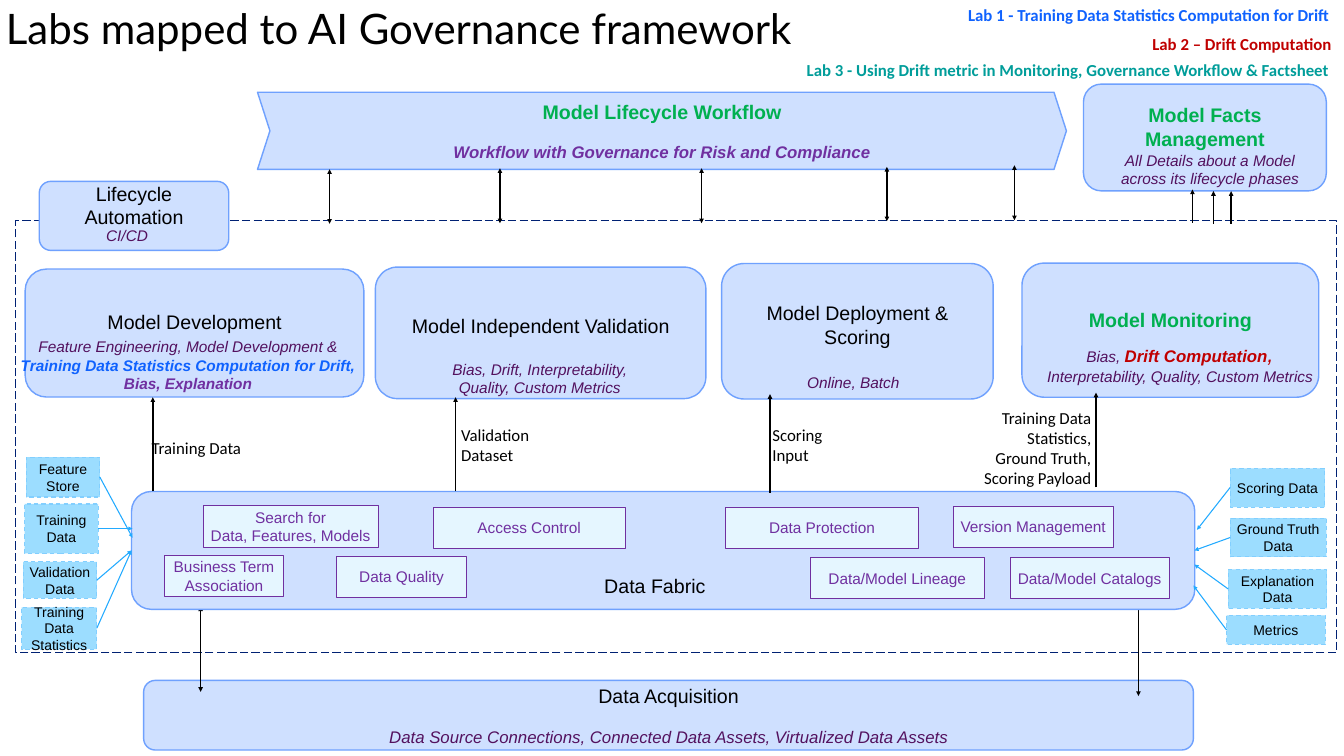
from lxml import etree
from pptx import Presentation
from pptx.dml.color import RGBColor
from pptx.enum.dml import MSO_LINE
from pptx.enum.shapes import MSO_CONNECTOR, MSO_SHAPE
from pptx.enum.text import MSO_ANCHOR, PP_ALIGN
from pptx.oxml.ns import qn
from pptx.util import Cm, Pt

RECT, ROUND, CHEVRON = MSO_SHAPE.RECTANGLE, MSO_SHAPE.ROUNDED_RECTANGLE, MSO_SHAPE.CHEVRON
STRAIGHT = MSO_CONNECTOR.STRAIGHT
TOP, MIDDLE = MSO_ANCHOR.TOP, MSO_ANCHOR.MIDDLE
LEFT, CENTER, RIGHT = PP_ALIGN.LEFT, PP_ALIGN.CENTER, PP_ALIGN.RIGHT
DASH, LONG_DASH = MSO_LINE.DASH, MSO_LINE.LONG_DASH
UNIT = 2.54
BLACK, GREEN, PURPLE, PLUM = "000000", "00B050", "7030A0", "53115E"
BLUE, RED, TEAL, SKY = "0F62FE", "C00000", "009D9A", "22AAFF"


def rgb(value):
    return RGBColor.from_string(value)


def cm(value):
    return Cm(round(value * UNIT, 2))


def fmt(size, color=BLACK, name="Arial", bold=False, italic=False):
    return {"size": Pt(size), "color": color, "name": name, "bold": bold, "italic": italic}


HEAD, HEAD_GREEN = fmt(28), fmt(28, GREEN, bold=True)
NOTE, LABEL = fmt(22, PLUM, italic=True), fmt(24, name="Calibri")
SOURCE, SERVICE = fmt(20), fmt(22, PURPLE)


def write(sp, paras, align=CENTER, anchor=MIDDLE, inset=(0.1, 0.05), shift=0, gap=0):
    tf = sp.text_frame
    settings = {"word_wrap": True, "vertical_anchor": anchor,
                "margin_left": cm(inset[0]), "margin_right": cm(inset[0]),
                "margin_top": cm(inset[1] + max(0, 2 * shift)),
                "margin_bottom": cm(inset[1] + max(0, -2 * shift))}
    for key, value in settings.items():
        setattr(tf, key, value)
    for i, runs in enumerate(paras):
        p = tf.paragraphs[0] if i == 0 else tf.add_paragraph()
        p.alignment = align
        if i:
            p.space_before = Pt(gap)
        for text, style in runs:
            r = p.add_run()
            r.text = text
            for key, value in style.items():
                if key == "color":
                    r.font.color.rgb = rgb(value)
                else:
                    setattr(r.font, key, value)


def add_box(s, box, kind=ROUND, fill="CFE0FF", line="6FA1FE", width=2, dash=None):
    sp = s.shapes.add_shape(kind, *map(cm, box))
    sp.shadow.inherit = False
    if fill:
        sp.fill.solid()
        sp.fill.fore_color.rgb = rgb(fill)
    else:
        sp.fill.background()
    sp.line.color.rgb = rgb(line)
    sp.line.width = Pt(width)
    if dash:
        sp.line.dash_style = dash
    return sp


def add_text(s, box, paras, **layout):
    write(s.shapes.add_textbox(*map(cm, box)), paras, **layout)


def add_arrow(s, start, end, color=BLACK, width=2.25, both=False):
    c = s.shapes.add_connector(STRAIGHT, *map(cm, (*start, *end)))
    c.line.color.rgb = rgb(color)
    c.line.width = Pt(width)
    spPr = c._element.spPr
    ln = spPr.find(qn("a:ln"))
    for tag in ("a:headEnd", "a:tailEnd") if both else ("a:tailEnd",):
        etree.SubElement(ln, qn(tag), type="triangle")
    etree.SubElement(spPr, qn("a:effectLst"))


def vertical_arrows(s, box, arrows, both=False):
    x, y = box[:2]
    for dx, start, end in arrows:
        add_arrow(s, (x + dx, y + start), (x + dx, y + end), both=both)


def header(s, box):
    x, y, w, h = box
    add_text(s, (x, y, 16.73, 1.28),
             [[("Labs mapped to AI Governance framework", fmt(60, name="Lato"))]],
             align=LEFT, anchor=TOP, inset=(0.13, 0.13))
    labs = [
        (19.12, -0.01, 7.43, LEFT, BLUE, "Lab 1 - Training Data Statistics Computation for Drift"),
        (21.01, 0.56, 5.52, RIGHT, RED, "Lab 2 – Drift Computation"),
        (15.92, 1.08, 10.78, LEFT, TEAL,
         "Lab 3 - Using Drift metric in Monitoring, Governance Workflow & Factsheet"),
    ]
    for dx, dy, width, align, color, text in labs:
        add_text(s, (x + dx, y + dy, width, 0.77),
                 [[(text, fmt(24, color, "Calibri", bold=True))]], align=align)


def workflow(s, box):
    sp = add_box(s, box, CHEVRON)
    sp.adjustments[0] = 0.161
    write(sp, [[("Model Lifecycle Workflow", HEAD_GREEN)],
               [("Workflow with Governance for Risk and Compliance",
                 fmt(24, PURPLE, bold=True, italic=True))]], gap=27)
    vertical_arrows(s, box, [(1.43, 2.61, 1.53), (4.81, 2.6, 1.51), (8.81, 2.6, 1.51),
                             (12.49, 2.56, 1.48), (15.02, 2.54, 1.45)], both=True)


def card(s, box, title, shift, note_box, note, style=HEAD):
    x, y = box[:2]
    dx, dy, w, h = note_box
    write(add_box(s, box), [[(title, style)]], shift=shift)
    add_text(s, (x + dx, y + dy, w, h), [note])


def stage_input(s, box, arrow, label_box, lines, align=LEFT):
    x, y = box[:2]
    dx, dy, w, h = label_box
    vertical_arrows(s, box, [arrow])
    add_text(s, (x + dx, y + dy, w, h), [[(line, LABEL)] for line in lines], align=align)


def fabric(s, box):
    x, y, w, h = box
    add_box(s, box)
    add_text(s, (x + 6.28, y + 1.45, 8.21, 0.83), [[("Data Fabric", HEAD)]])
    services = [
        (1.42, 0.28, 3.47, ["Search for", "Data, Features, Models"]),
        (5.98, 0.31, 3.82, ["Access Control"]),
        (11.79, 0.31, 3.82, ["Data Protection"]),
        (16.31, 0.29, 3.16, ["Version Management"]),
        (0.65, 1.26, 2.37, ["Business Term Association"]),
        (4.07, 1.28, 2.57, ["Data Quality"]),
        (13.46, 1.31, 3.47, ["Data/Model Lineage"]),
        (17.43, 1.31, 3.16, ["Data/Model Catalogs"]),
    ]
    for dx, dy, width, lines in services:
        sp = add_box(s, (x + dx, y + dy, width, 0.82), RECT, "E5F6FF", PURPLE, 0.75)
        write(sp, [[(line, SERVICE)] for line in lines], inset=(0, 0))


def sources(s, box, items, on_left):
    x, y = box[:2]
    for text, (dx, dy, w, h), (tx, ty) in items:
        sp = add_box(s, (x + dx, y + dy, w, h), RECT, "9CDDFF", "82CFFF", 1.5, DASH)
        write(sp, [[(text, SOURCE)]], inset=(0, 0))
        start = (x + dx + (w if on_left else 0), y + dy + h / 2)
        add_arrow(s, start, (x + tx, y + ty), SKY, 1.5)


def acquisition(s, box):
    write(add_box(s, box), [
        [("Data Acquisition", HEAD)],
        [("Data Source Connections, Connected Data Assets, Virtualized Data Assets",
          fmt(24, PLUM, italic=True))]], gap=27)
    vertical_arrows(s, box, [(1.13, 0.23, -1.47), (19.74, 0.31, -1.5)], both=True)


def main():
    prs = Presentation()
    prs.slide_width, prs.slide_height = cm(26.67), cm(15)
    s = prs.slides.add_slide(prs.slide_layouts[6])
    add_box(s, (0.31, 4.38, 26.21, 8.57), RECT, None, "002173", 1.5, LONG_DASH)
    header(s, (-0.01, -0.08, 26.68, 1.85))
    acquisition(s, (2.85, 13.5, 20.83, 1.38))
    workflow(s, (5.11, 1.83, 16.05, 1.53))
    fabric(s, (2.61, 9.75, 21.1, 2.34))

    facts, automation = (21.5, 1.67, 4.82, 2.12), (0.78, 3.6, 3.76, 1.37)
    development, validation = (0.5, 5.34, 6.72, 2.54), (7.45, 5.3, 6.56, 2.61)
    deployment, monitoring = (14.32, 5.23, 5.39, 2.69), (20.28, 5.22, 5.89, 2.66)
    card(s, automation, "Lifecycle Automation", -0.21, (-0.27, 0.65, 4.02, 0.83), [("CI/CD", NOTE)])
    card(s, facts, "Model Facts Management", -0.22, (0.5, 1.28, 4.02, 0.83),
         [("All Details about a Model across its lifecycle phases", NOTE)], HEAD_GREEN)
    vertical_arrows(s, facts, [(2.16, 2.75, 2.09), (2.58, 2.77, 2.12), (2.93, 2.77, 2.12)])
    card(s, development, "Model Development", -0.22, (-0.35, 1.49, 7.16, 0.83),
         [("Feature Engineering, Model Development & ", NOTE),
          ("Training Data Statistics Computation for Drift, ", fmt(22, BLUE, bold=True, italic=True)),
          ("Bias, Explanation", fmt(22, PURPLE, bold=True, italic=True))])
    card(s, validation, "Model Independent Validation", -0.15, (1.25, 1.79, 4.02, 0.83),
         [("Bias, Drift, Interpretability, Quality, Custom Metrics", NOTE)])
    card(s, deployment, "Model Deployment & Scoring", -0.13, (0.6, 1.94, 4.02, 0.83),
         [("Online, Batch", NOTE)])
    card(s, monitoring, "Model Monitoring", -0.2, (0.24, 1.56, 5.79, 0.83),
         [("Bias, ", NOTE), ("Drift Computation", fmt(24, RED, bold=True, italic=True)),
          (",", fmt(32, RED, italic=True)),
          (" Interpretability, Quality, Custom Metrics", NOTE)], HEAD_GREEN)

    stage_input(s, development, (2.53, 4.41, 2.54), (2.41, 3.19, 2.15, 0.69), ["Training Data"])
    stage_input(s, validation, (1.59, 4.45, 2.58), (1.6, 3.1, 2.0, 0.83), ["Validation Dataset"])
    stage_input(s, deployment, (0.96, 4.55, 2.59), (0.91, 3.17, 1.6, 0.83), ["Scoring Input"])
    stage_input(s, monitoring, (1.47, 4.45, 2.57), (-1.64, 3.28, 3.11, 0.77),
                ["Training Data Statistics,", "Ground Truth, Scoring Payload"], RIGHT)

    sources(s, (0.43, 9.07, 1.55, 3.81), [
        ("Feature Store", (0.09, 0, 1.46, 0.79), (2.2, 1.6)),
        ("Training Data", (0.06, 0.93, 1.46, 0.98), (2.2, 1.42)),
        ("Validation Data", (0.03, 2.08, 1.46, 0.72), (2.18, 1.85)),
        ("Training Data Statistics", (0, 2.98, 1.49, 0.83), (2.18, 1.85))], True)
    sources(s, (24.34, 9.29, 1.99, 3.5), [
        ("Scoring Data", (0.07, 0, 1.88, 0.77), (-0.59, 1.22)),
        ("Ground Truth Data", (0.07, 0.99, 1.91, 0.77), (-0.64, 1.63)),
        ("Explanation Data", (0.03, 2.01, 1.96, 0.77), (-0.64, 1.91)),
        ("Metrics", (0, 2.92, 1.96, 0.58), (-0.66, 2.33))], False)
    prs.save("out.pptx")


if __name__ == "__main__":
    main()
